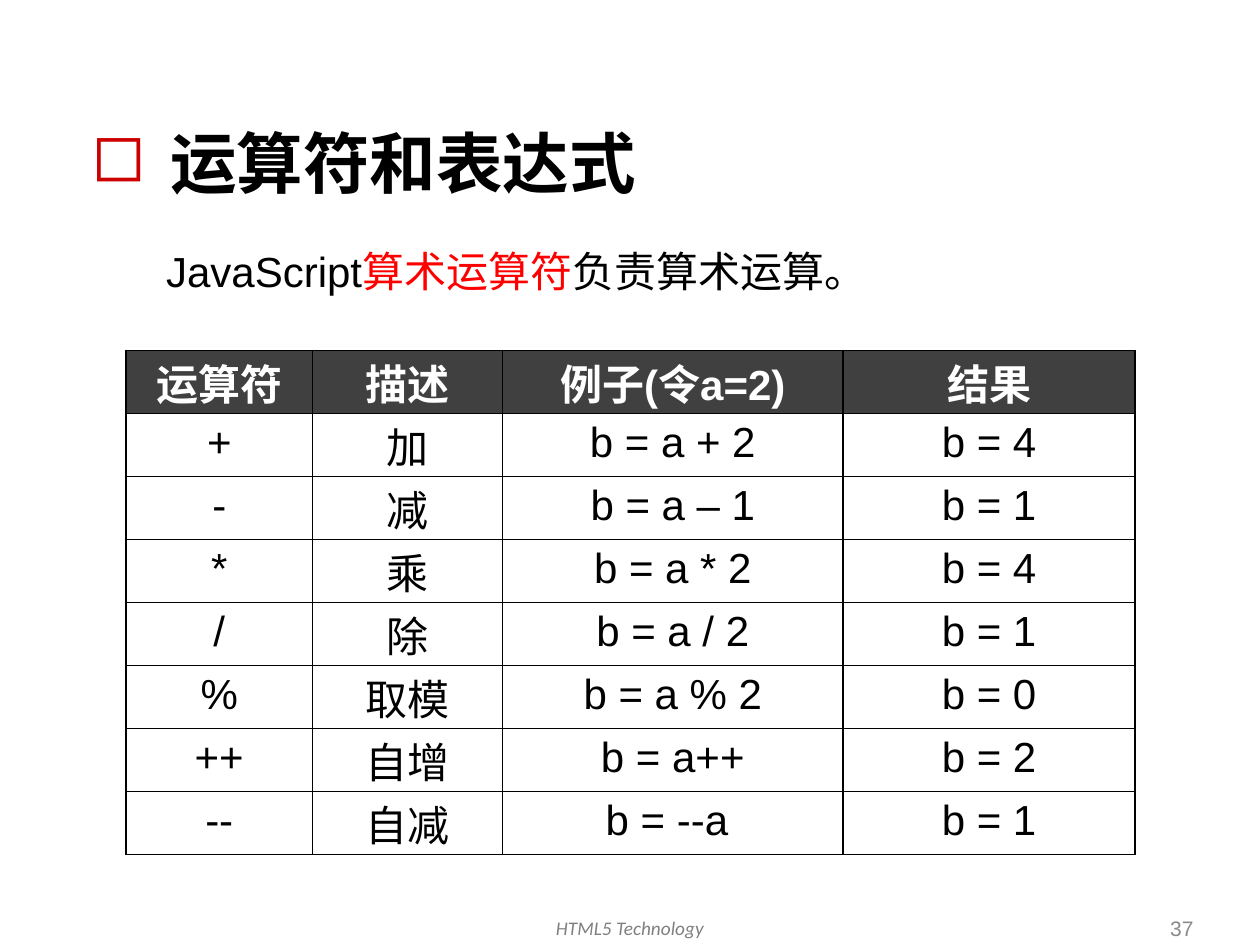
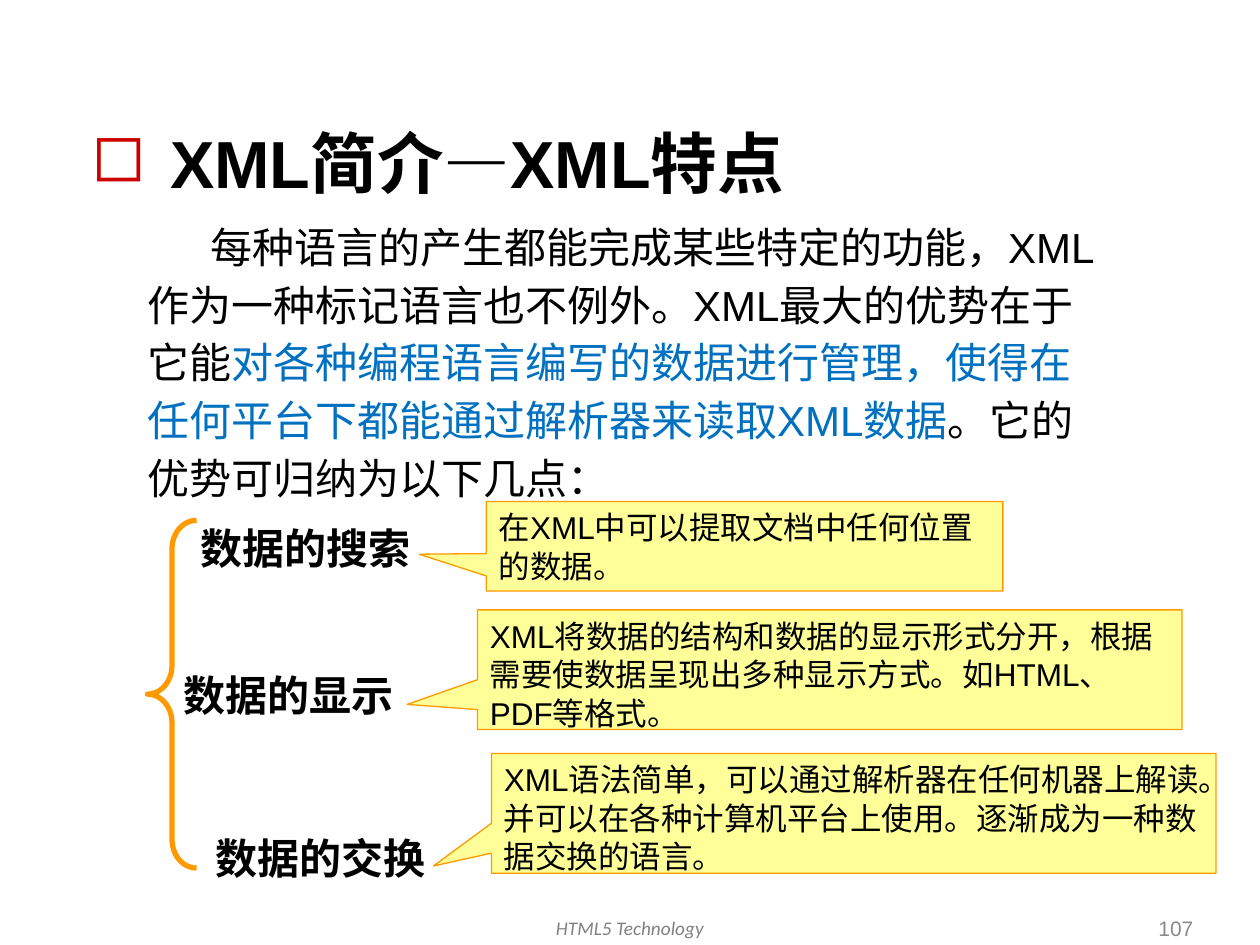
from dataclasses import dataclass
from itertools import groupby

from lxml.etree import SubElement
from pptx import Presentation
from pptx.dml.color import RGBColor
from pptx.enum.shapes import MSO_SHAPE as Shape
from pptx.enum.text import MSO_ANCHOR as Anchor, MSO_AUTO_SIZE as AutoSize, PP_ALIGN as Align
from pptx.oxml.ns import qn
from pptx.util import Inches, Pt


@dataclass(frozen=True)
class Theme:
    latin: str = "Arial"
    asian: str = "Noto Sans CJK SC"
    footer_font: str = "Calibri"
    ink: str = "000000"
    white: str = "FFFFFF"
    bullet: str = "CC0000"
    red: str = "FF0000"
    blue: str = "0070C0"
    header: str = "404040"
    orange: str = "FF9900"
    yellow: str = "FFFF99"
    footer: str = "808080"
    number: str = "898989"
    title_size: int = 38
    body_size: int = 24
    note_size: int = 18
    number_size: int = 12
    footer_size: int = 11


def color(value):
    return RGBColor.from_string(value)


def inches(*lengths):
    return [Inches(length) for length in lengths]


class SlideBuilder:
    def __init__(self, deck, theme):
        self.deck = deck
        self.theme = theme
        self.page = None

    def span(self, para, text, size, fill=None, bold=False, italic=False, font=None):
        span = para.add_run()
        span.text = text
        span.font.size = Pt(size)
        span.font.bold = bold
        span.font.italic = italic
        span.font.color.rgb = color(fill or self.theme.ink)
        span.font.name = font or self.theme.latin
        SubElement(span.font._element, qn("a:ea"), typeface=self.theme.asian)

    def mixed(self, para, text, size, bold=False):
        for is_latin, letters in groupby(text, str.isascii):
            font = self.theme.latin if is_latin else self.theme.asian
            self.span(para, "".join(letters), size, bold=bold, font=font)

    def box(self, left, top, width, height, wrap=True):
        frame = self.page.shapes.add_textbox(*inches(left, top, width, height)).text_frame
        frame.word_wrap = wrap
        return frame

    def new_page(self, title, number):
        theme = self.theme
        self.page = self.deck.slides.add_slide(self.deck.slide_layouts[5])
        self.title(title)
        para = self.box(3.22, 7.22, 3.56, 0.33).paragraphs[0]
        para.alignment = Align.CENTER
        self.span(para, "HTML5 Technology", theme.footer_size, theme.footer,
                  italic=True, font=theme.footer_font)
        frame = self.box(7.32, 7.22, 2.25, 0.29)
        frame.vertical_anchor = Anchor.MIDDLE
        para = frame.paragraphs[0]
        para.alignment = Align.RIGHT
        self.span(para, str(number), theme.number_size, theme.number)

    def title(self, text):
        title = self.page.shapes.title
        title.left, title.top, title.width, title.height = inches(0.63, 0.92, 8.75, 0.73)
        frame = title.text_frame
        frame.auto_size = AutoSize.NONE
        frame.vertical_anchor = Anchor.MIDDLE
        para = frame.paragraphs[0]
        para.alignment = Align.LEFT
        props = para._p.get_or_add_pPr()
        props.set("marL", str(Inches(0.62)))
        props.set("indent", str(-Inches(0.62)))
        SubElement(SubElement(props, qn("a:buClr")), qn("a:srgbClr"), val=self.theme.bullet)
        SubElement(props, qn("a:buChar"), char="◻")
        self.span(para, text, self.theme.title_size, bold=True)

    def intro(self, place, leading, spans):
        frame = self.box(*place)
        frame.auto_size = AutoSize.SHAPE_TO_FIT_TEXT
        para = frame.paragraphs[0]
        para.line_spacing = Pt(leading)
        para._p.get_or_add_pPr().set("indent", str(Inches(0.5)))
        for text, fill in spans:
            self.span(para, text, self.theme.body_size, fill)

    def border(self, cell):
        props = cell._tc.get_or_add_tcPr()
        for side in ("lnL", "lnR", "lnT", "lnB"):
            line = SubElement(props, qn(f"a:{side}"), w=str(Pt(1)))
            SubElement(SubElement(line, qn("a:solidFill")), qn("a:srgbClr"), val=self.theme.ink)

    def table(self, left, top, widths, row_height, rows):
        theme = self.theme
        table = self.page.shapes.add_table(
            len(rows), len(widths),
            *inches(left, top, sum(widths), row_height * len(rows))).table
        for column, width in zip(table.columns, widths):
            column.width = Inches(width)
        for row_index, row in enumerate(rows):
            table.rows[row_index].height = Inches(row_height)
            is_header = row_index == 0
            for column_index, text in enumerate(row):
                cell = table.cell(row_index, column_index)
                is_chinese = is_header or column_index == 1
                cell.margin_top = Inches(0.01 if is_chinese else 0.05)
                cell.margin_bottom = 0
                self.border(cell)
                if is_header:
                    cell.fill.solid()
                    cell.fill.fore_color.rgb = color(theme.header)
                else:
                    cell.fill.background()
                para = cell.text_frame.paragraphs[0]
                para.alignment = Align.CENTER
                self.span(para, text, theme.body_size,
                          theme.white if is_header else theme.ink, bold=is_header)

    def shape(self, kind, place, adjustments, line_width, fill=None):
        shape = self.page.shapes.add_shape(kind, *inches(*place))
        shape.shadow.inherit = False
        for index, value in enumerate(adjustments):
            shape.adjustments[index] = value
        shape.line.color.rgb = color(self.theme.orange)
        shape.line.width = Pt(line_width)
        if fill:
            shape.fill.solid()
            shape.fill.fore_color.rgb = color(fill)
        else:
            shape.fill.background()
        return shape

    def label(self, left, top, text):
        para = self.box(left, top, 2.06, 0.51, wrap=False).paragraphs[0]
        para.line_spacing = Pt(30)
        self.mixed(para, text, self.theme.body_size, bold=True)

    def callout(self, place, tip, text):
        shape = self.shape(Shape.RECTANGULAR_CALLOUT, place, tip, 0.75, self.theme.yellow)
        frame = shape.text_frame
        frame.word_wrap = True
        frame.vertical_anchor = Anchor.TOP
        para = frame.paragraphs[0]
        para.alignment = Align.LEFT
        para.line_spacing = Pt(22)
        self.mixed(para, text, self.theme.note_size)


def operators_page(builder):
    theme = builder.theme
    builder.new_page("运算符和表达式", 37)
    builder.intro((0.72, 1.81, 8.27, 0.54), 35, [
        ("JavaScript", theme.ink),
        ("算术运算符", theme.red),
        ("负责算术运算。", theme.ink),
    ])
    builder.table(1, 2.78, [1.48, 1.51, 2.7, 2.32], 0.5, [
        ("运算符", "描述", "例子(令a=2)", "结果"),
        ("+", "加", "b = a + 2", "b = 4"),
        ("-", "减", "b = a – 1", "b = 1"),
        ("*", "乘", "b = a * 2", "b = 4"),
        ("/", "除", "b = a / 2", "b = 1"),
        ("%", "取模", "b = a % 2", "b = 0"),
        ("++", "自增", "b = a++", "b = 2"),
        ("--", "自减", "b = --a ", "b = 1"),
    ])


def xml_page(builder):
    theme = builder.theme
    builder.new_page("XML简介—XML特点", 107)
    builder.intro((1.07, 1.65, 7.86, 2.37), 33, [
        ("每种语言的产生都能完成某些特定的功能，XML作为一种标记语言也不例外。"
         "XML最大的优势在于它能", theme.ink),
        ("对各种编程语言编写的数据进行管理，使得在任何平台下都能通过解析器来读取XML数据",
         theme.blue),
        ("。它的优势可归纳为以下几点：", theme.ink),
    ])
    builder.shape(Shape.LEFT_BRACE, (1.17, 4.13, 0.39, 2.76), (0.58, 0.5), 3)
    features = [
        ((1.49, 4.08), "数据的搜索", (3.86, 3.98, 4.1, 0.71), (-0.63, 0.09),
         "在XML中可以提取文档中任何位置的数据。"),
        ((1.36, 5.25), "数据的显示", (3.79, 4.84, 5.59, 0.95), (-0.6, 0.29),
         "XML将数据的结构和数据的显示形式分开，根据需要使数据呈现出多种显示方式。"
         "如HTML、PDF等格式。"),
        ((1.61, 6.54), "数据的交换", (3.9, 5.98, 5.75, 0.95), (-0.58, 0.44),
         "XML语法简单，可以通过解析器在任何机器上解读。并可以在各种计算机平台上使用。"
         "逐渐成为一种数据交换的语言。"),
    ]
    for label_place, name, place, tip, text in features:
        builder.label(*label_place, name)
        builder.callout(place, tip, text)


def main():
    deck = Presentation()
    deck.slide_width, deck.slide_height = inches(10, 7.5)
    builder = SlideBuilder(deck, Theme())
    operators_page(builder)
    xml_page(builder)
    deck.save("out.pptx")


if __name__ == "__main__":
    main()
